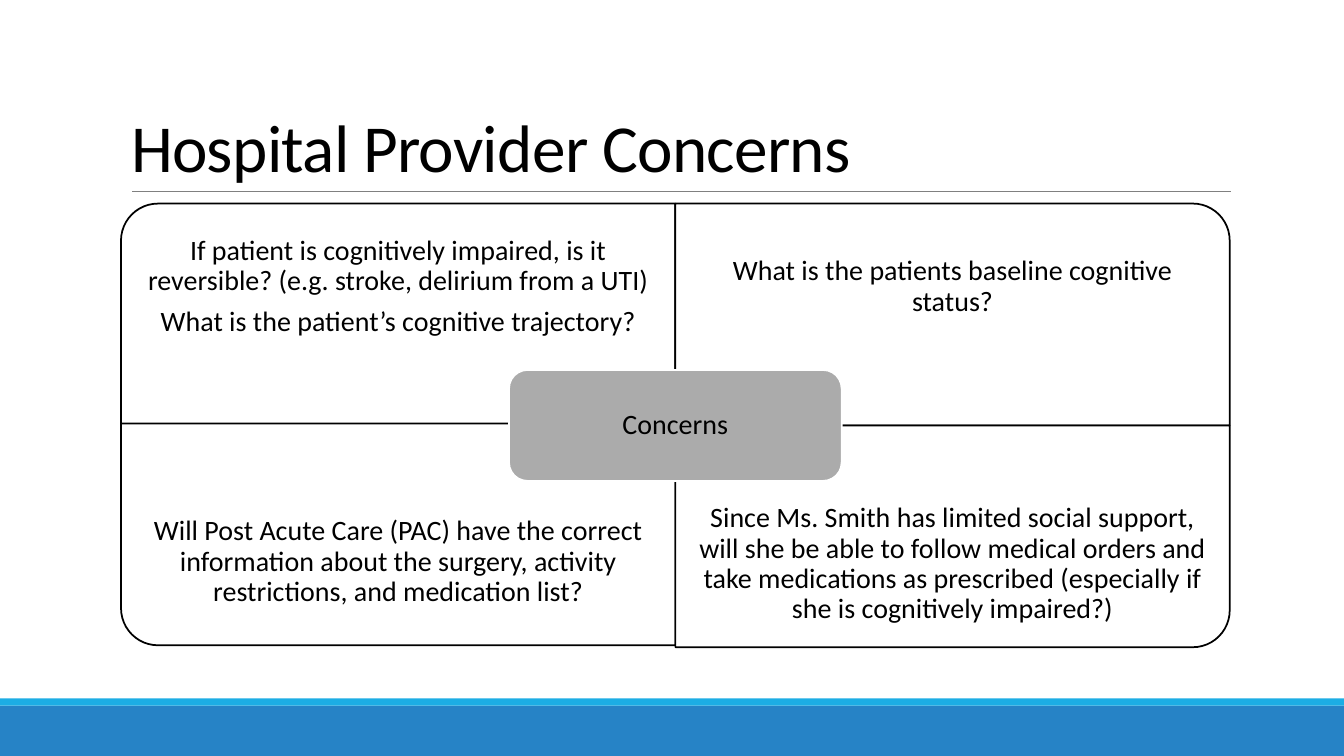
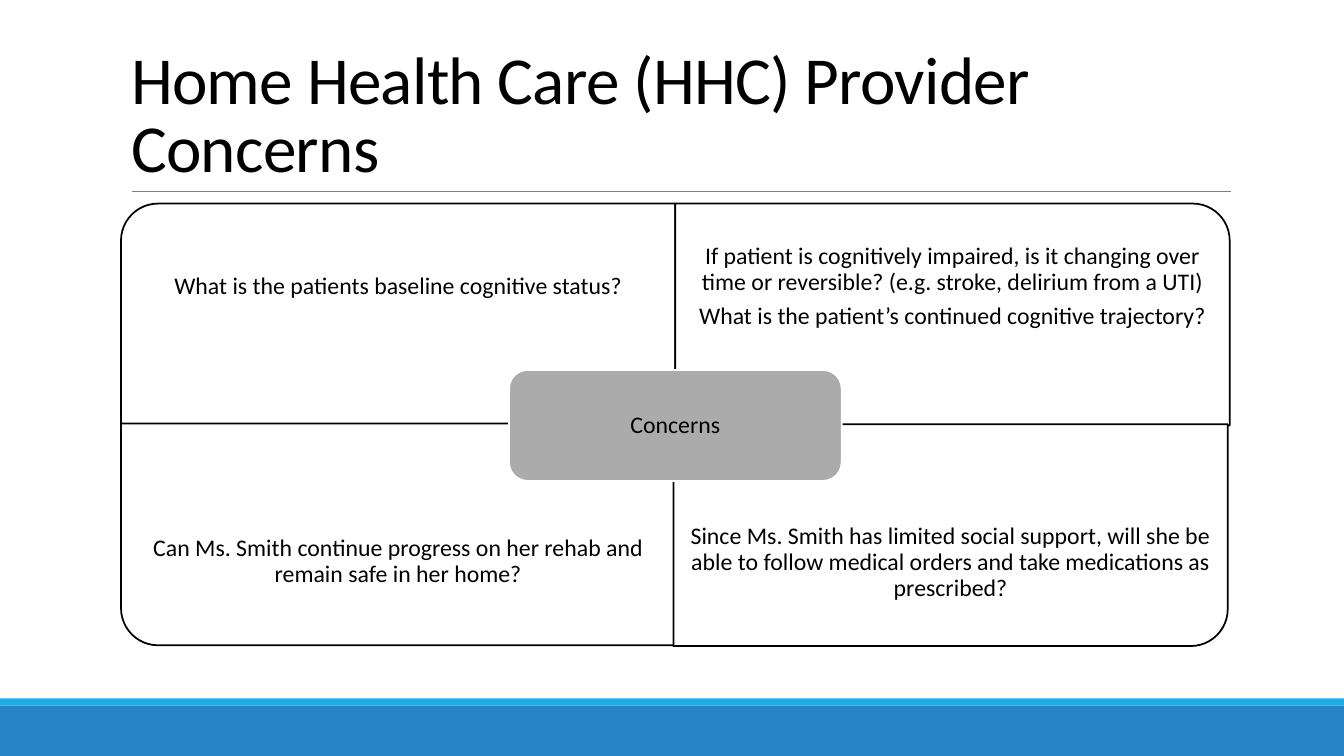
from pptx import Presentation
from pptx import util as u
from pptx.dml import color
from pptx.enum import shapes, text
from pptx.oxml import ns, parse_xml

COLORS = {"ink": "000000", "paper": "FFFFFF", "hub": "ABABAB",
          "footer": "2683C6", "stripe": "1CADE4", "rule": "808080"}
FONT = "Calibri"
SHAPE = shapes.MSO_SHAPE
PAGE_WIDTH, PAGE_HEIGHT = u.Cm(33.87), u.Cm(19.05)
TITLE_BOX = u.Cm(3.05), u.Cm(0.79), u.Cm(27.94), u.Cm(4.04)
MATRIX_BOX = u.Cm(3.05), u.Cm(5.13), u.Cm(27.94), u.Cm(11.18)
QUADRANTS = [(0, 0, 270), (0, 1, 0), (1, 0, 180), (1, 1, 90)]

PAGES = [
    {
        "title": "Hospital Provider Concerns",
        "size": 20,
        "inset": u.Cm(0.41),
        "cards": [
            ["If patient is cognitively impaired, is it reversible? (e.g. stroke, delirium from a UTI)",
             "What is the patient’s cognitive trajectory?"],
            ["What is the patients baseline cognitive status?"],
            ["Will Post Acute Care (PAC) have the correct information about the surgery, "
             "activity restrictions, and medication list?"],
            ["Since Ms. Smith has limited social support, will she be able to follow medical orders "
             "and take medications as prescribed (especially if she is cognitively impaired?)"],
        ],
        "nudges": {2: (0, u.Cm(-0.05))},
    },
    {
        "title": "Home Health Care (HHC) Provider Concerns",
        "size": 17,
        "inset": u.Cm(0.34),
        "cards": [
            ["What is the patients baseline cognitive status?"],
            ["If patient is cognitively impaired, is it changing over time or reversible? "
             "(e.g. stroke, delirium from a UTI)",
             "What is the patient’s continued cognitive trajectory?"],
            ["Can Ms. Smith continue progress on her rehab and remain safe in her home?"],
            ["Since Ms. Smith has limited social support, will she be able to follow medical orders "
             "and take medications as prescribed?"],
        ],
        "nudges": {2: (0, u.Cm(-0.05)), 3: (u.Cm(-0.05), u.Cm(-0.03))},
    },
]


def rgb(name):
    return color.RGBColor.from_string(COLORS[name])


def add_block(page, kind, box, fill, line=None):
    block = page.shapes.add_shape(kind, *box)
    block.shadow.inherit = False
    block.fill.solid()
    block.fill.fore_color.rgb = rgb(fill)
    if line:
        block.line.color.rgb = rgb(line)
        block.line.width = u.Pt(1.25)
    else:
        block.line.fill.background()
    return block


def style_font(para, size):
    para.font.name = FONT
    para.font.size = u.Pt(size)
    para.font.color.rgb = rgb("ink")


def write_centred(box, lines, size, inset):
    frame = box.text_frame
    frame.word_wrap = True
    frame.vertical_anchor = text.MSO_ANCHOR.MIDDLE
    frame.margin_left = frame.margin_right = inset
    frame.margin_top = frame.margin_bottom = inset
    frame.text = "\n".join(lines)
    for para in frame.paragraphs:
        para.alignment = text.PP_ALIGN.CENTER
        para.line_spacing = 0.9
        para.space_after = u.Pt(0.35 * size)
        style_font(para, size)


def add_title(page, wording):
    title = page.shapes.title
    title.left, title.top, title.width, title.height = TITLE_BOX
    frame = title.text_frame
    frame.text = wording
    frame.word_wrap = True
    frame.auto_size = text.MSO_AUTO_SIZE.NONE
    frame.vertical_anchor = text.MSO_ANCHOR.BOTTOM
    para = frame.paragraphs[0]
    para.alignment = text.PP_ALIGN.LEFT
    para.line_spacing = 0.85
    style_font(para, 48)
    for properties in title.element.iter(ns.qn("a:defRPr")):
        properties.set("spc", "-50")


def add_matrix(page, box, content):
    left, top, width, height = box
    card_width, card_height = width // 2, height // 2
    size, inset = content["size"], content["inset"]
    hub_width, hub_height = int(width * 0.3), card_height // 2
    text_height = card_height - hub_height // 2

    for index, (row, column, angle) in enumerate(QUADRANTS):
        shift_x, shift_y = content["nudges"].get(index, (0, 0))
        x = left + column * card_width + shift_x
        y = top + row * card_height + shift_y
        turned = angle % 180 != 0
        w, h = (card_height, card_width) if turned else (card_width, card_height)
        card_box = x + (card_width - w) // 2, y + (card_height - h) // 2, w, h
        card = add_block(page, SHAPE.ROUND_1_RECTANGLE, card_box, "paper", "ink")
        card.rotation = angle
        text_top = y + row * (card_height - text_height)
        label = page.shapes.add_textbox(x, text_top, card_width, text_height)
        write_centred(label, content["cards"][index], size, inset)

    hub_box = (left + (width - hub_width) // 2, top + (height - hub_height) // 2,
               hub_width, hub_height)
    hub = add_block(page, SHAPE.ROUNDED_RECTANGLE, hub_box, "hub", "paper")
    write_centred(hub, ["Concerns"], size, inset // 2)


def add_theme_parts(layout, page):
    footer = add_block(page, SHAPE.RECTANGLE, (0, u.Cm(17.78), PAGE_WIDTH, u.Cm(1.27)), "footer")
    stripe = add_block(page, SHAPE.RECTANGLE, (0, u.Cm(17.6), PAGE_WIDTH, u.Cm(0.18)), "stripe")
    rule = page.shapes.add_connector(shapes.MSO_CONNECTOR.STRAIGHT,
                                     u.Cm(3.33), u.Cm(4.83), u.Cm(31.01), u.Cm(4.83))
    rule.line.color.rgb = rgb("rule")
    rule.line.width = u.Pt(0.5)
    rule.element.spPr.append(parse_xml(f"<a:effectLst {ns.nsdecls('a')}/>"))
    for part in (footer, stripe, rule):
        layout.shapes.element.append(part.element)


def main():
    deck = Presentation()
    deck.slide_width, deck.slide_height = PAGE_WIDTH, PAGE_HEIGHT
    layout = deck.slide_layouts.get_by_name("Title Only")
    for number, content in enumerate(PAGES):
        page = deck.slides.add_slide(layout)
        if number == 0:
            add_theme_parts(layout, page)
        add_title(page, content["title"])
        add_matrix(page, MATRIX_BOX, content)
    deck.save("out.pptx")


if __name__ == "__main__":
    main()
